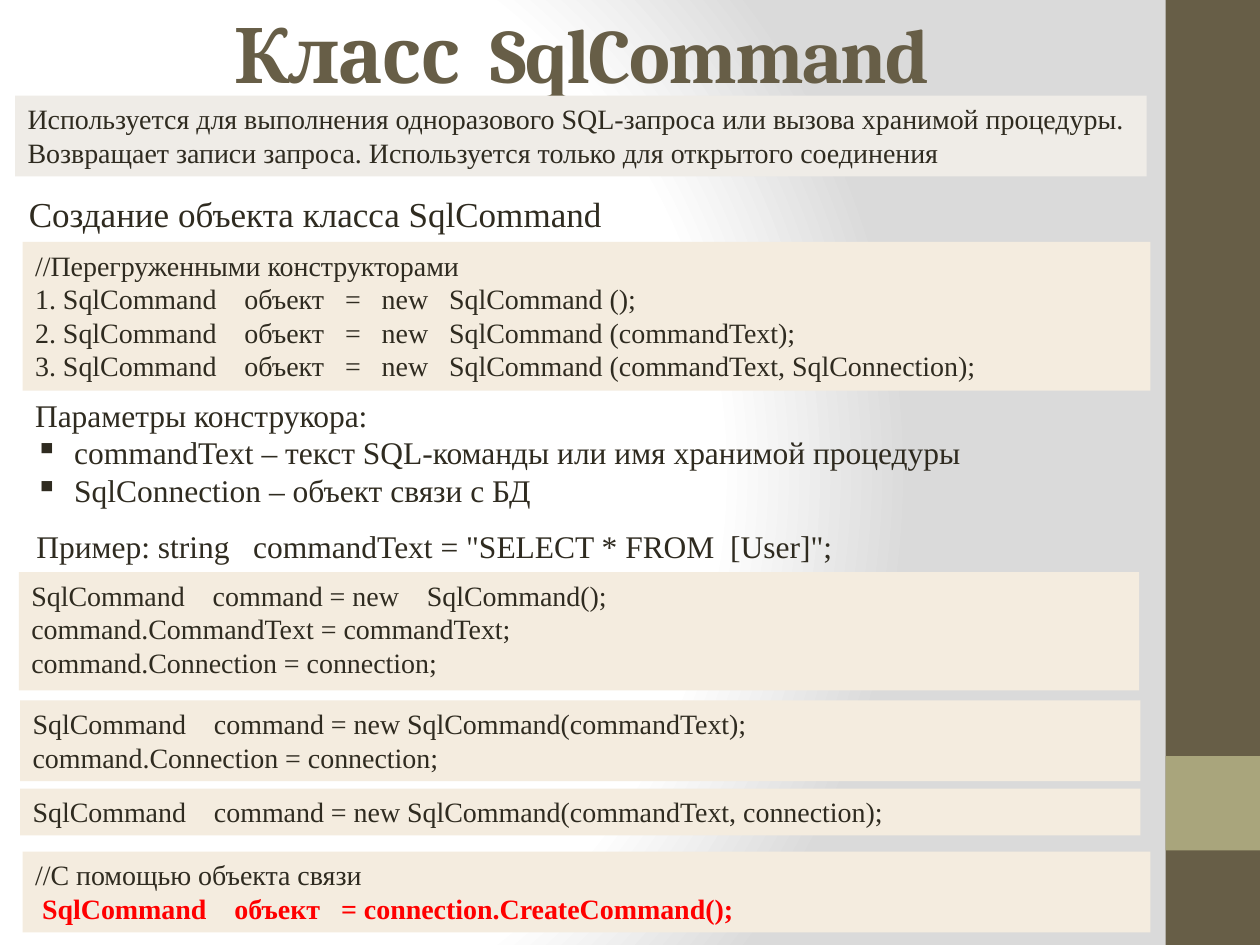
from pptx import Presentation
from pptx.dml.color import RGBColor
from pptx.enum import shapes, text
from pptx.oxml import parse_xml
from pptx.oxml.ns import nsdecls
from pptx.util import Inches, Pt

OLIVE = RGBColor(0x67, 0x5E, 0x47)
SAGE = RGBColor(0xA9, 0xA5, 0x7C)
INK = RGBColor(0x2F, 0x2B, 0x20)
CREAM = RGBColor(0xF4, 0xEC, 0xDF)
PALE = RGBColor(0xEF, 0xEC, 0xE7)
RED = RGBColor(0xFF, 0x00, 0x00)
BODY_FONT = "Times New Roman"
TITLE_FONT = "Cambria"
BULLET = "▪"


def set_background(slide):
    stops = "".join(
        f'<a:gs pos="{percent * 1000}"><a:srgbClr val="{color}"/></a:gs>'
        for percent, color in ((0, "FFFFFF"), (75, "FFFFFF"), (100, "DADADA")))
    background = parse_xml(
        f'<p:bg {nsdecls("p", "a")}><p:bgPr><a:gradFill rotWithShape="1">'
        f'<a:gsLst>{stops}</a:gsLst><a:path path="circle">'
        '<a:fillToRect l="20000" t="50000" r="100000" b="50000"/></a:path>'
        '</a:gradFill><a:effectLst/></p:bgPr></p:bg>')
    slide._element.cSld.insert(0, background)


def add_band(slide, top, height, color):
    band = slide.shapes.add_shape(
        shapes.MSO_SHAPE.RECTANGLE, Inches(9.25), Inches(top),
        Inches(0.75), Inches(height))
    band.shadow.inherit = False
    band.fill.solid()
    band.fill.fore_color.rgb = color
    band.line.fill.background()


def add_run(paragraph, words, size, color=INK, bold=False, font=BODY_FONT):
    run = paragraph.add_run()
    run.text = words
    run.font.name = font
    run.font.size = Pt(size)
    run.font.bold = bold
    run.font.color.rgb = color
    return run


def set_title(slide, words):
    title = slide.shapes.title
    title.left, title.top = Inches(0.12), Inches(0)
    title.width, title.height = Inches(9), Inches(0.84)
    title.text_frame.vertical_anchor = text.MSO_ANCHOR.MIDDLE
    paragraph = title.text_frame.paragraphs[0]
    paragraph.alignment = text.PP_ALIGN.CENTER
    run = add_run(paragraph, words, 44, OLIVE, True, TITLE_FONT)
    run.font._element.set("spc", "-100")


def add_bullet(paragraph):
    properties = paragraph._p.get_or_add_pPr()
    properties.set("marL", str(Inches(0.31)))
    properties.set("indent", str(-Inches(0.31)))
    properties.append(parse_xml(f'<a:buChar {nsdecls("a")} char="{BULLET}"/>'))


def add_text(slide, place, lines, size=16, fill=None, bulleted=()):
    box = slide.shapes.add_textbox(*map(Inches, place))
    if fill is not None:
        box.fill.solid()
        box.fill.fore_color.rgb = fill
    frame = box.text_frame
    frame.word_wrap = True
    frame.auto_size = text.MSO_AUTO_SIZE.SHAPE_TO_FIT_TEXT
    for index, line in enumerate(lines):
        paragraph = frame.add_paragraph() if index else frame.paragraphs[0]
        if index in bulleted:
            add_bullet(paragraph)
        add_run(paragraph, line, size)
    return frame


def main():
    deck = Presentation()
    deck.slide_width, deck.slide_height = Inches(10), Inches(7.5)
    slide = deck.slides.add_slide(deck.slide_layouts[5])
    set_background(slide)
    add_band(slide, 0, 7.5, OLIVE)
    add_band(slide, 6, 0.75, SAGE)
    set_title(slide, "Класс  SqlCommand")

    add_text(slide, (0.13, 1.48, 7.98, 0.44),
             ["Создание объекта класса SqlCommand"], 20)
    declaration = "SqlCommand    объект   =   new   SqlCommand "
    arguments = ("()", "(commandText)", "(commandText, SqlConnection)")
    add_text(slide, (0.18, 1.92, 8.95, 1.18),
             ["//Перегруженными конструкторами"]
             + [f"{number}. {declaration}{argument};"
                for number, argument in enumerate(arguments, 1)], fill=CREAM)
    add_text(slide, (0.15, 4.54, 8.89, 0.94),
             ["SqlCommand    command = new    SqlCommand();",
              "command.CommandText = commandText;",
              "command.Connection = connection;"], fill=CREAM)
    add_text(slide, (0.19, 4.13, 8.88, 0.4),
             ['Пример: string   commandText = "SELECT * FROM  [User]";'], 18)
    add_text(slide, (0.12, 0.76, 8.98, 0.64),
             ["Используется для выполнения одноразового SQL-запроса или вызова "
              "хранимой процедуры. Возвращает записи запроса. Используется "
              "только для открытого соединения"], fill=PALE)
    add_text(slide, (0.18, 3.09, 8.78, 1.01),
             ["Параметры конструкора:",
              "commandText – текст SQL-команды или имя хранимой процедуры",
              "SqlConnection – объект связи с БД"], 18, bulleted=(1, 2))
    add_text(slide, (0.16, 5.56, 8.89, 0.64),
             ["SqlCommand    command = new SqlCommand(commandText);",
              "command.Connection = connection;"], fill=CREAM)
    add_text(slide, (0.16, 6.26, 8.89, 0.37),
             ["SqlCommand    command = new SqlCommand(commandText, connection);"],
             fill=CREAM)
    factory = add_text(slide, (0.18, 6.76, 8.95, 0.64),
                       ["//С помощью объекта связи", " "], fill=CREAM)
    add_run(factory.paragraphs[1],
            "SqlCommand    объект   = connection.CreateCommand();", 16, RED, True)

    deck.save("out.pptx")


if __name__ == "__main__":
    main()
